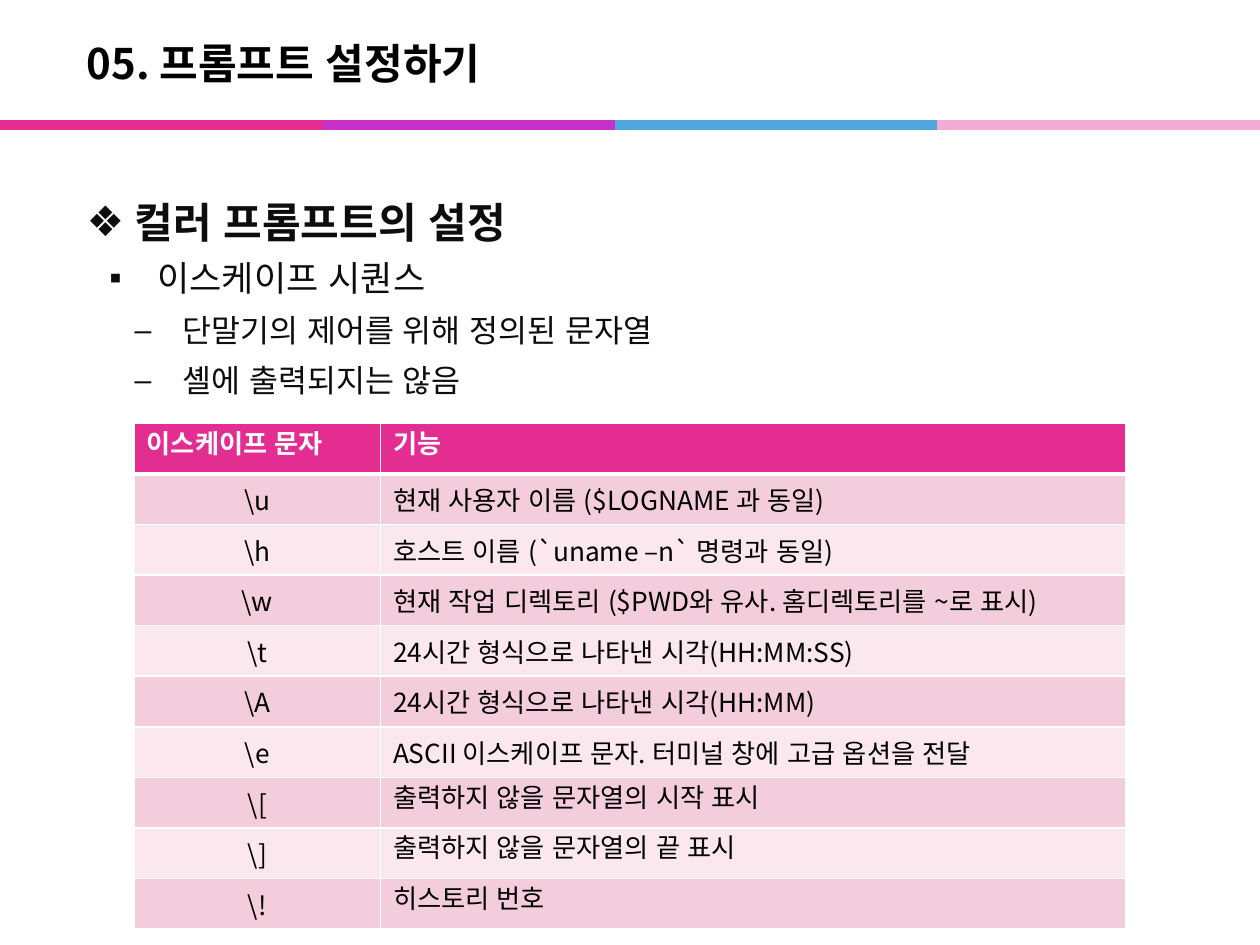
from lxml import etree
from pptx import Presentation
from pptx.dml.color import RGBColor
from pptx.enum import shapes, text
from pptx.oxml import ns
from pptx.util import Pt

SANS, ARIAL = "Noto Sans CJK KR", "Arial"
BLACK = RGBColor(0x00, 0x00, 0x00)
INK = RGBColor(0x0D, 0x0D, 0x0D)
WHITE = RGBColor(0xFF, 0xFF, 0xFF)
PINK = RGBColor(0xE3, 0x2D, 0x91)
PURPLE = RGBColor(0xC8, 0x30, 0xCC)
BLUE = RGBColor(0x4E, 0xA6, 0xDC)
PALE_PINK = RGBColor(0xF4, 0xAB, 0xD3)
ROW_DARK = RGBColor(0xF4, 0xCD, 0xDC)
ROW_LIGHT = RGBColor(0xFA, 0xE8, 0xEE)

LEFT, CENTER = text.PP_ALIGN.LEFT, text.PP_ALIGN.CENTER

ESCAPES = [
    ("이스케이프 문자", "기능"),
    ("\\u", "현재 사용자 이름 ($LOGNAME 과 동일)"),
    ("\\h", "호스트 이름 (`uname –n` 명령과 동일)"),
    ("\\w", "현재 작업 디렉토리 ($PWD와 유사. 홈디렉토리를 ~로 표시)"),
    ("\\t", "24시간 형식으로 나타낸 시각(HH:MM:SS)"),
    ("\\A", "24시간 형식으로 나타낸 시각(HH:MM)"),
    ("\\e", "ASCII 이스케이프 문자. 터미널 창에 고급 옵션을 전달"),
    ("\\[", "출력하지 않을 문자열의 시작 표시"),
    ("\\]", "출력하지 않을 문자열의 끝 표시"),
    ("\\!", "히스토리 번호"),
]


def add_xml(parent, tag, **attributes):
    return etree.SubElement(parent, ns.qn(tag), attributes)


def write(paragraph, words, size=15, font=SANS, color=BLACK, bold=False, align=LEFT):
    paragraph.alignment = align
    run = paragraph.add_run()
    run.text = words
    run.font.size, run.font.bold, run.font.name = Pt(size), bold, font
    run.font.color.rgb = color
    # The East Asian typeface sets the width of spaces between Korean words
    add_xml(run.font._element, "a:ea", typeface=ARIAL)


def set_bullet(paragraph, mark, margin, hanging=27.36, percent=100):
    properties = paragraph._p.get_or_add_pPr()
    properties.set("marL", str(Pt(margin)))
    properties.set("indent", str(-Pt(hanging)))
    add_xml(properties, "a:buSzPct", val=str(percent * 1000))
    add_xml(properties, "a:buFont", typeface=ARIAL)
    add_xml(properties, "a:buChar", char=mark)


def place_title(slide, left, top, width, height):
    title = slide.shapes.title
    title.left, title.top = Pt(left), Pt(top)
    title.width, title.height = Pt(width), Pt(height)
    title.text_frame.vertical_anchor = text.MSO_ANCHOR.MIDDLE
    write(title.text_frame.paragraphs[0], "05. 프롬프트 설정하기", size=24, bold=True)


def draw_color_bar(slide, left, y, width):
    segment = 184.32
    colors = [PINK, PURPLE, BLUE, PALE_PINK]
    # Segments end at the right edge; the first one overlaps its neighbour
    for index in (1, 2, 3, 0):
        start = max(left, left + width - (len(colors) - index) * segment)
        bar = slide.shapes.add_connector(
            shapes.MSO_CONNECTOR.STRAIGHT, Pt(start), Pt(y), Pt(start + segment), Pt(y))
        bar.line.color.rgb = colors[index]
        bar.line.width = Pt(6)
        add_xml(bar._element.spPr, "a:effectLst")


def place_outline(slide, left, top, width, height):
    frame = slide.shapes.add_textbox(Pt(left), Pt(top), Pt(width), Pt(height)).text_frame
    frame.word_wrap = True

    heading = frame.paragraphs[0]
    heading.line_spacing = 1.5
    set_bullet(heading, "❖", 27.36)
    write(heading, "컬러 프롬프트의 설정", size=24, font=ARIAL, color=INK, bold=True)

    # Level, bullet, margin, text size, line height, bullet percent, words
    points = [
        (1, "▪", 40.32, 20, 26.6, 100, "이스케이프 시퀀스"),
        (2, "–", 54.72, 18, 25.5, 96, "단말기의 제어를 위해 정의된 문자열"),
        (2, "–", 54.72, 18, 25.5, 96, "셸에 출력되지는 않음"),
    ]
    for level, mark, margin, size, line_height, percent, words in points:
        point = frame.add_paragraph()
        point.level = level
        point.line_spacing = Pt(line_height)
        point.space_before = Pt(3 if level == 1 else 0)
        point.space_after = Pt(3)
        set_bullet(point, mark, margin, percent=percent)
        write(point, words, size=size, color=INK)


def set_borders(cell, **widths):
    properties = cell._tc.get_or_add_tcPr()
    for side in "LRTB":
        line = add_xml(properties, f"a:ln{side}", w=str(Pt(widths.get(side, 1))))
        add_xml(add_xml(line, "a:solidFill"), "a:srgbClr", val=str(WHITE))


def place_escape_table(slide, left, top, width, height):
    table = slide.shapes.add_table(
        len(ESCAPES), 2, Pt(left), Pt(top), Pt(width), Pt(height)).table
    code_width = 140.7
    table.columns[0].width = Pt(code_width)
    table.columns[1].width = Pt(width - code_width)

    for r, entry in enumerate(ESCAPES):
        header = r == 0
        fill = PINK if header else ROW_DARK if r % 2 else ROW_LIGHT
        for c, words in enumerate(entry):
            cell = table.cell(r, c)
            set_borders(cell, T=3 if r == 1 else 1, B=3 if header else 1)
            cell.fill.solid()
            cell.fill.fore_color.rgb = fill
            write(cell.text_frame.paragraphs[0], words, bold=header,
                  color=WHITE if header else BLACK,
                  align=CENTER if c == 0 and not header else LEFT)


def main():
    deck = Presentation()
    deck.slide_width, deck.slide_height = Pt(720), Pt(540)
    slide = deck.slides.add_slide(deck.slide_layouts[5])
    draw_color_bar(slide, 0, 71.3, 720)
    place_title(slide, 42.5, 14.4, 595.5, 43.2)
    place_outline(slide, 42.5, 94.3, 652.3, 425.5)
    place_escape_table(slide, 76.7, 242, 566.6, 289)
    deck.save("out.pptx")


if __name__ == "__main__":
    main()
